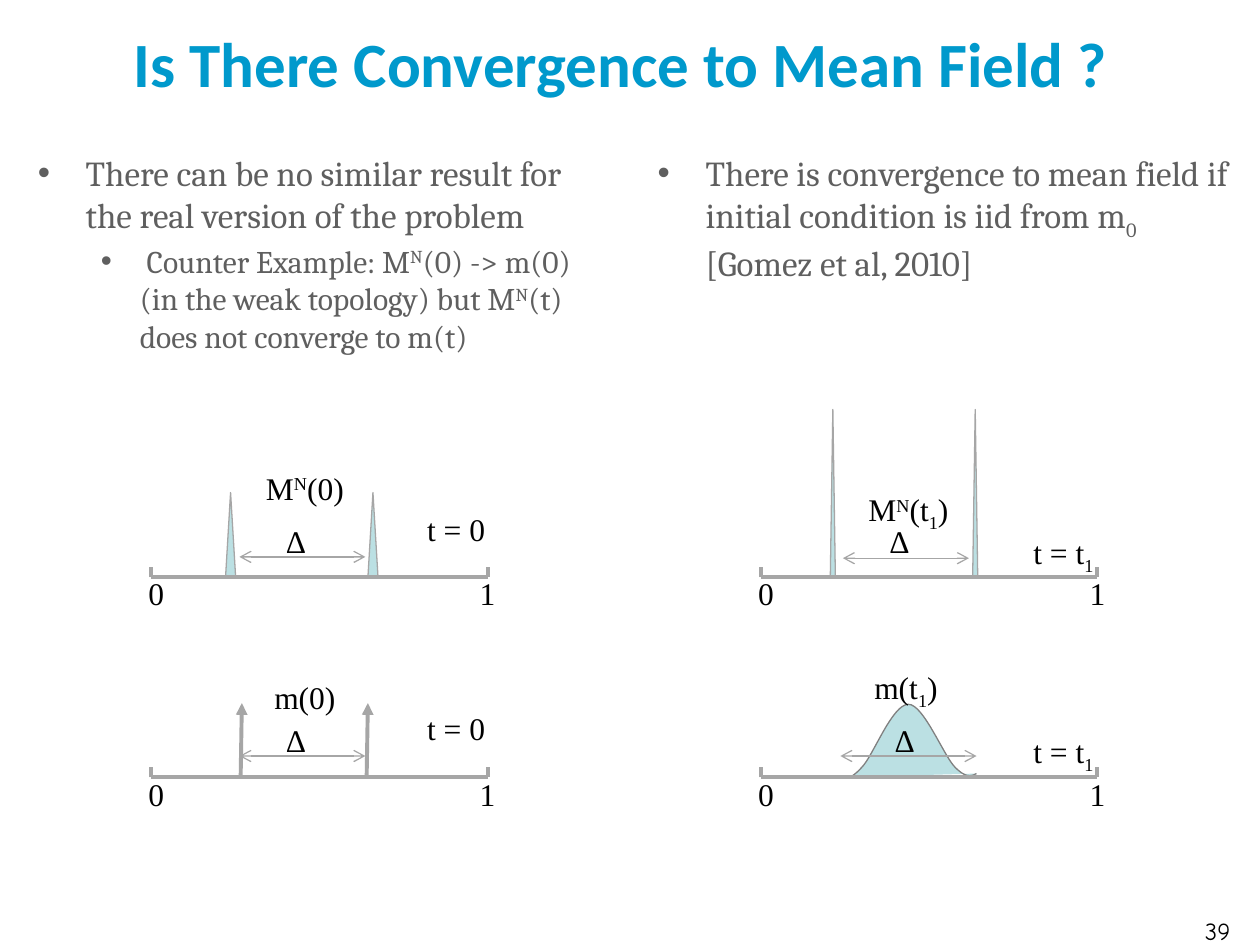
from lxml import etree
from pptx import Presentation
from pptx.dml.color import RGBColor
from pptx.enum.shapes import MSO_CONNECTOR, MSO_SHAPE
from pptx.enum.text import MSO_ANCHOR, MSO_AUTO_SIZE, PP_ALIGN
from pptx.oxml.ns import qn
from pptx.util import Inches, Pt

STRAIGHT = MSO_CONNECTOR.STRAIGHT
TRIANGLE = MSO_SHAPE.ISOSCELES_TRIANGLE
CENTER, LEFT = PP_ALIGN.CENTER, PP_ALIGN.LEFT
TOP, MIDDLE = MSO_ANCHOR.TOP, MSO_ANCHOR.MIDDLE
NO_FIT, FIT_SHAPE = MSO_AUTO_SIZE.NONE, MSO_AUTO_SIZE.SHAPE_TO_FIT_TEXT

BLUE = RGBColor(0x00, 0x99, 0xCC)
TEXT_GRAY = RGBColor(0x5F, 0x5F, 0x5F)
LINE_GRAY = RGBColor(0xA6, 0xA6, 0xA6)
CURVE_GRAY = RGBColor(0x80, 0x80, 0x80)
PALE_BLUE = RGBColor(0xBB, 0xE0, 0xE3)
BLACK = RGBColor(0x00, 0x00, 0x00)

TITLE_FONT = {"name": "Calibri", "size": Pt(36), "bold": True, "color": BLUE}
BODY_FONT = {"name": "Cambria", "size": Pt(20), "color": TEXT_GRAY}
SUB_FONT = {**BODY_FONT, "size": Pt(18)}
LABEL_FONT = {"name": "Times New Roman", "size": Pt(18), "color": BLACK}
PAGE_FONT = {"name": "Comic Neue", "size": Pt(14), "color": BLACK}

SUPER, SUB = 30, -25
AXIS_LENGTH, TICK_HEIGHT = 2.67, 0.08
LABEL_WIDTH, LABEL_HEIGHT = 1, 0.4

# Bullet columns: box, then (level, runs) for each paragraph.
COLUMNS = [
    ((0.2, 1.15, 4.76, 1.93), [
        (0, [("There can be no similar result for the real version of the problem", 0)]),
        (1, [(" Counter Example: M", 0), ("N", SUPER),
             ("(0) -> m(0) (in the weak topology) but M", 0), ("N", SUPER),
             ("(t) does not converge to m(t)", 0)]),
    ]),
    ((5.12, 1.15, 4.76, 1.85), [
        (0, [("There is convergence to mean field if initial condition is iid from m", 0),
             ("0\v", SUB), ("[Gomez et al, 2010]", 0)]),
    ]),
]
BULLET_STYLES = [  # indent, hanging, space before, font
    (0.38, 0.38, Pt(4), BODY_FONT),
    (0.81, 0.31, Pt(3.6), SUB_FONT),
]


def set_font(font, values):
    for name, value in values.items():
        if name == "color":
            font.color.rgb = value
        else:
            setattr(font, name, value)


def add_runs(paragraph, runs, font):
    """Add (text, baseline percent) runs; a vertical tab ends a line."""
    for text, baseline in runs:
        line, *rest = text.split("\v")
        run = paragraph.add_run()
        run.text = line
        set_font(run.font, font)
        if baseline:
            run._r.get_or_add_rPr().set("baseline", str(baseline * 1000))
        for _ in rest:
            paragraph.add_line_break()


def place(shape, box):
    shape.left, shape.top, shape.width, shape.height = map(Inches, box)


def add_title(slide, box, text):
    title = slide.shapes.title
    place(title, box)
    title.text_frame.auto_size = NO_FIT
    title.text_frame.vertical_anchor = MIDDLE
    paragraph = title.text_frame.paragraphs[0]
    paragraph.alignment = CENTER
    add_runs(paragraph, [(text, 0)], TITLE_FONT)


def add_bullets(placeholder, box, items):
    place(placeholder, box)
    frame = placeholder.text_frame
    frame.auto_size = NO_FIT
    frame.vertical_anchor = TOP
    for index, (level, runs) in enumerate(items):
        paragraph = frame.add_paragraph() if index else frame.paragraphs[0]
        indent, hanging, space_before, font = BULLET_STYLES[level]
        paragraph.level = level
        paragraph.alignment = LEFT
        paragraph.space_before = space_before if index else Pt(0)
        properties = paragraph._p.get_or_add_pPr()
        properties.set("marL", str(Inches(indent)))
        properties.set("indent", str(-Inches(hanging)))
        etree.SubElement(properties, qn("a:buFont")).set("typeface", "Arial")
        etree.SubElement(properties, qn("a:buChar")).set("char", "•")
        add_runs(paragraph, runs, font)


def add_text(shapes, box, runs, font, wrap=False):
    text_box = shapes.add_textbox(*map(Inches, box))
    frame = text_box.text_frame
    frame.word_wrap = wrap
    frame.auto_size = NO_FIT if wrap else FIT_SHAPE
    paragraph = frame.paragraphs[0]
    paragraph.alignment = CENTER
    add_runs(paragraph, runs, font)


def add_label(shapes, center, top, runs, width=LABEL_WIDTH):
    add_text(shapes, (center - width / 2, top, width, LABEL_HEIGHT), runs, LABEL_FONT)


def add_line(shapes, start, end, width, **arrows):
    """Draw a line; arrows maps headEnd or tailEnd to an arrowhead type."""
    line = shapes.add_connector(STRAIGHT, *map(Inches, (*start, *end)))
    line.line.color.rgb = LINE_GRAY
    line.line.width = Pt(width)
    outline = line.line._get_or_add_ln()
    for tag in ("headEnd", "tailEnd"):
        if tag in arrows:
            etree.SubElement(outline, qn(f"a:{tag}")).set("type", arrows[tag])
    etree.SubElement(line._element.spPr, qn("a:effectLst"))


def paint(shape, line_color):
    shape.shadow.inherit = False
    shape.fill.solid()
    shape.fill.fore_color.rgb = PALE_BLUE
    shape.line.color.rgb = line_color
    shape.line.width = Pt(0.75)


def add_spikes(shapes, left, base, centers, width, height):
    for center in centers:
        box = (left + center - width / 2, base - height, width, height)
        paint(shapes.add_shape(TRIANGLE, *map(Inches, box)), LINE_GRAY)


def add_point_masses(shapes, left, base, centers, height):
    for center in centers:
        add_line(shapes, (left + center, base - height), (left + center - 0.01, base),
                 2.25, headEnd="triangle")


def add_bell_curve(shapes, left, base, steps=16):
    controls = [(0.63, 0), (0.67, 0.01), (0.71, 0.02), (0.8, -0.08),
                (0.89, -0.17), (1.04, -0.58), (1.17, -0.58),
                (1.29, -0.58), (1.45, -0.17), (1.54, -0.08),
                (1.63, 0.01), (1.67, -0.01), (1.71, -0.03)]
    points = []
    for first in range(0, len(controls) - 1, 3):
        p, q, r, s = controls[first:first + 4]
        for step in range(1, steps + 1):
            t = step / steps
            u = 1 - t
            x, y = (u**3 * p[i] + 3 * u * u * t * q[i] + 3 * u * t * t * r[i] + t**3 * s[i]
                    for i in (0, 1))
            points.append((Inches(left + x), Inches(base + y)))
    builder = shapes.build_freeform(Inches(left + controls[0][0]), Inches(base + controls[0][1]))
    builder.add_line_segments(points, close=False)
    paint(builder.convert_to_shape(), CURVE_GRAY)


def add_panel(slide, left, base, draw_mass, mass_options, gap, labels):
    """Draw one distribution over [0, 1]; offsets run from the axis start."""
    shapes = slide.shapes.add_group_shape().shapes
    draw_mass(shapes, left, base, **mass_options)
    add_line(shapes, (left, base), (left + AXIS_LENGTH, base), 2.25)
    for x, digit in ((left, "0"), (left + AXIS_LENGTH, "1")):
        add_line(shapes, (x, base), (x, base - TICK_HEIGHT), 2.25)
        add_label(shapes, x + (0.04 if digit == "0" else 0), base - 0.07, [(digit, 0)], 0.33)
    start, end, rise = gap
    add_line(shapes, (left + start, base - rise), (left + end, base - rise), 0.75,
             headEnd="arrow", tailEnd="arrow")
    for center, offset, runs in labels:
        add_label(shapes, left + center, base - offset, runs)


def main():
    presentation = Presentation()
    presentation.slide_width, presentation.slide_height = Inches(10), Inches(7.5)
    slide = presentation.slides.add_slide(presentation.slide_layouts[3])
    add_title(slide, (0.12, 0, 9.61, 0.99), "Is There Convergence to Mean Field ?")
    for index, (box, items) in enumerate(COLUMNS, start=1):
        add_bullets(slide.placeholders[index], box, items)

    left_x, right_x, upper, lower = 1.2, 6.04, 4.58, 6.17
    delta, start_time = [("Δ", 0)], [("t = 0", 0)]
    later_time = [("t = t", 0), ("1", SUB)]
    add_panel(slide, left_x, upper, add_spikes,
              {"centers": (0.63, 1.76), "width": 0.08, "height": 0.67}, (0.7, 1.7, 0.16),
              [(1.15, 0.49, delta), (2.42, 0.58, start_time),
               (1.22, 0.91, [("M", 0), ("N", SUPER), ("(0)", 0)])])
    add_panel(slide, right_x, upper, add_spikes,
              {"centers": (0.57, 1.7), "width": 0.04, "height": 1.33}, (0.65, 1.65, 0.15),
              [(1.1, 0.49, delta), (2.4, 0.4, later_time),
               (1.17, 0.74, [("M", 0), ("N", SUPER), ("(t", 0), ("1", SUB), (")", 0)])])
    add_panel(slide, left_x, lower, add_point_masses,
              {"centers": (0.72, 1.72), "height": 0.59}, (0.7, 1.7, 0.17),
              [(1.15, 0.5, delta), (2.42, 0.59, start_time), (1.22, 0.84, [("m(0)", 0)])])
    add_panel(slide, right_x, lower, add_bell_curve, {}, (0.63, 1.71, 0.17),
              [(1.14, 0.5, delta), (2.4, 0.41, later_time),
               (1.15, 0.92, [("m(t", 0), ("1", SUB), (")", 0)])])
    add_text(slide.shapes, (9.33, 7.22, 0.67, 0.28), [("39", 0)], PAGE_FONT, wrap=True)
    presentation.save("out.pptx")


if __name__ == "__main__":
    main()
